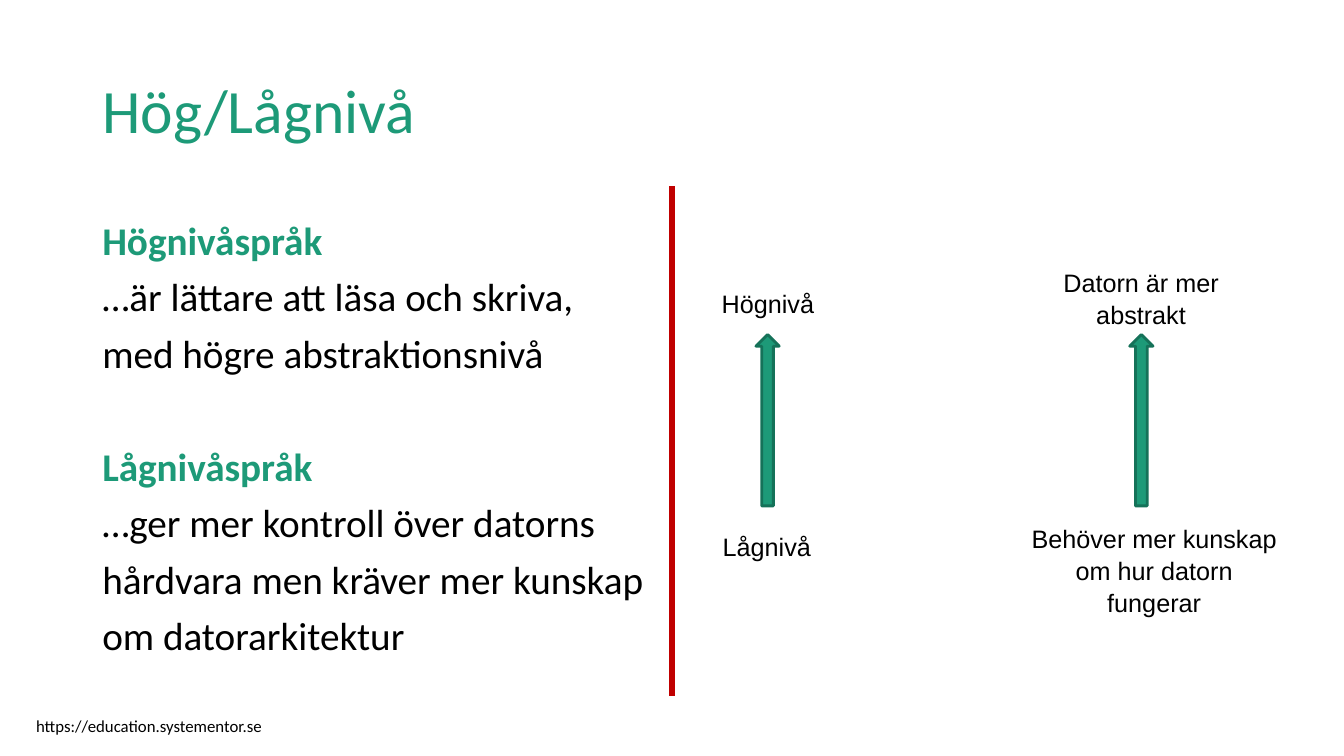
from lxml import etree
from pptx import Presentation
from pptx.dml.color import RGBColor
from pptx.enum import shapes, text
from pptx.oxml.ns import qn
from pptx.util import Pt

GREEN = RGBColor(0x1D, 0x9A, 0x78)
DARK_GREEN = RGBColor(0x15, 0x72, 0x59)
RED = RGBColor(0xC0, 0x00, 0x00)
BLACK = RGBColor(0x00, 0x00, 0x00)
LEFT, CENTER = text.PP_ALIGN.LEFT, text.PP_ALIGN.CENTER

deck = Presentation()
deck.slide_width, deck.slide_height = Pt(960), Pt(540)
page = deck.slides.add_slide(deck.slide_layouts[6])


def add_frame(left, top, width, height, margins=(7.2, 3.6, 7.2, 3.6)):
    """Add a wrapping text box and return its text frame."""
    box = page.shapes.add_textbox(Pt(left), Pt(top), Pt(width), Pt(height))
    frame = box.text_frame
    frame.word_wrap = True
    (frame.margin_left, frame.margin_top,
     frame.margin_right, frame.margin_bottom) = map(Pt, margins)
    return frame


def write(para, words, size, font="Calibri", color=BLACK, bold=False, spacing=1.0):
    para.text = words
    para.line_spacing = spacing
    para.font.name = font
    para.font.size = Pt(size)
    para.font.bold = bold
    para.font.color.rgb = color


# Title
title = add_frame(66, 28.75, 828, 104.4)
title.vertical_anchor = text.MSO_ANCHOR.MIDDLE
write(title.paragraphs[0], "Hög/Lågnivå", 44, color=GREEN, spacing=0.9)

# Definitions
definitions = [
    ("Högnivåspråk", "…är lättare att läsa och skriva, med högre abstraktionsnivå"),
    ("Lågnivåspråk", "…ger mer kontroll över datorns hårdvara men kräver mer "
                     "kunskap om datorarkitektur"),
]
body = add_frame(66, 144, 403.2, 339)
for index, (heading, explanation) in enumerate(definitions):
    para = body.add_paragraph() if index else body.paragraphs[0]
    write(para, heading, 28, color=GREEN, bold=True, spacing=1.2)
    if index:
        para.space_before = Pt(40.5)
    write(body.add_paragraph(), explanation, 28, spacing=1.2)

# Labels at the ends of the arrows
labels = [
    (514.8, 204.5, 75, 22.5, LEFT, ["Högnivå"]),
    (515.5, 378, 68, 24, LEFT, ["Lågnivå"]),
    (733.7, 372.2, 180.7, 75.6, CENTER,
     ["Behöver mer kunskap", "om hur datorn fungerar"]),
    (733.7, 189.4, 162, 49, CENTER, ["Datorn är mer abstrakt"]),
]
for left, top, width, height, alignment, lines in labels:
    label = add_frame(left, top, width, height, margins=(0.7, 0.7, 0, 0))
    for index, line in enumerate(lines):
        para = label.add_paragraph() if index else label.paragraphs[0]
        write(para, line, 18, font="Arial", spacing=1.05)
        para.alignment = alignment

# Divider
divider = page.shapes.add_connector(
    shapes.MSO_CONNECTOR.STRAIGHT, Pt(480), Pt(497), Pt(480), Pt(133))
divider.line.color.rgb = RED
divider.line.width = Pt(4.5)
etree.SubElement(divider._element.spPr, qn("a:effectLst"))

# Arrows from low to high
for left in (540, 807):
    arrow = page.shapes.add_shape(
        shapes.MSO_SHAPE.UP_ARROW, Pt(left), Pt(239), Pt(16.6), Pt(122.4))
    arrow.shadow.inherit = False
    arrow.fill.solid()
    arrow.fill.fore_color.rgb = GREEN
    arrow.line.color.rgb = DARK_GREEN
    arrow.line.width = Pt(2)

# Footer
footer = add_frame(18.7, 507.6, 280.8, 21.8)
write(footer.paragraphs[0], "https://education.systementor.se", 12)

deck.save("out.pptx")
